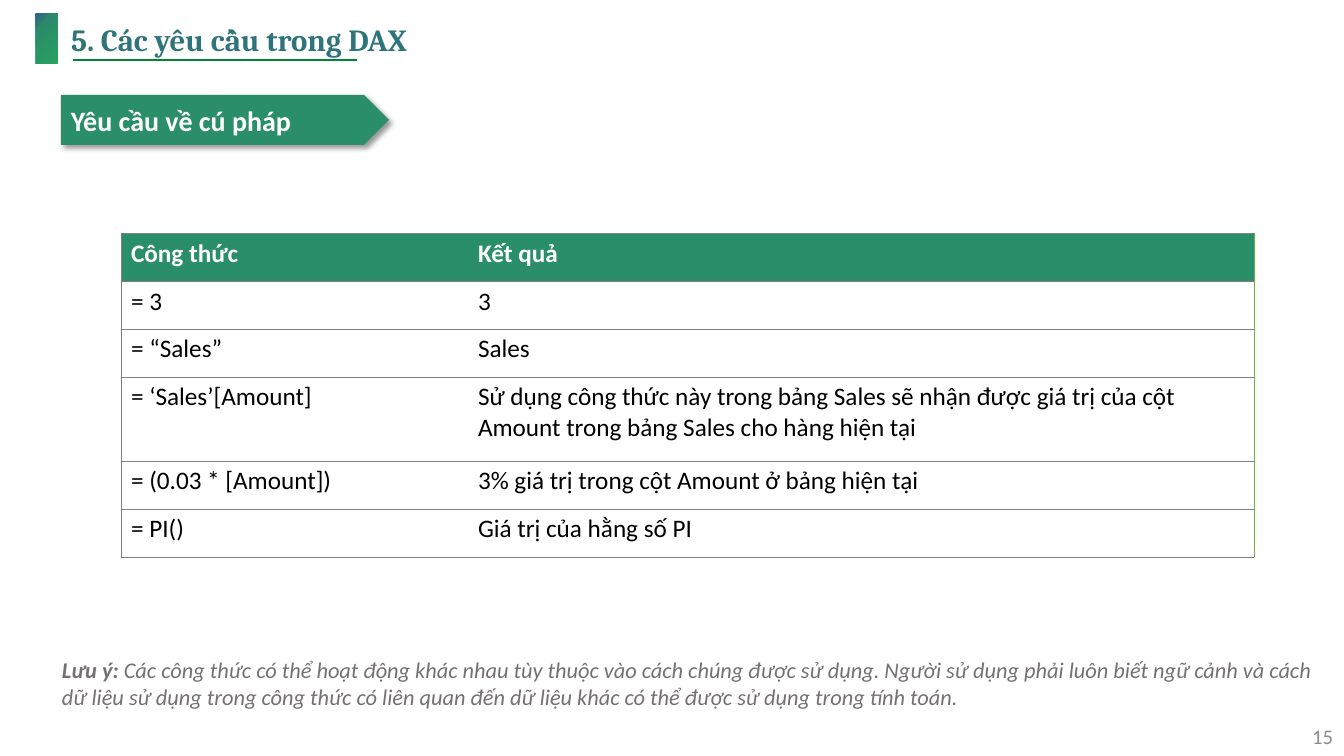
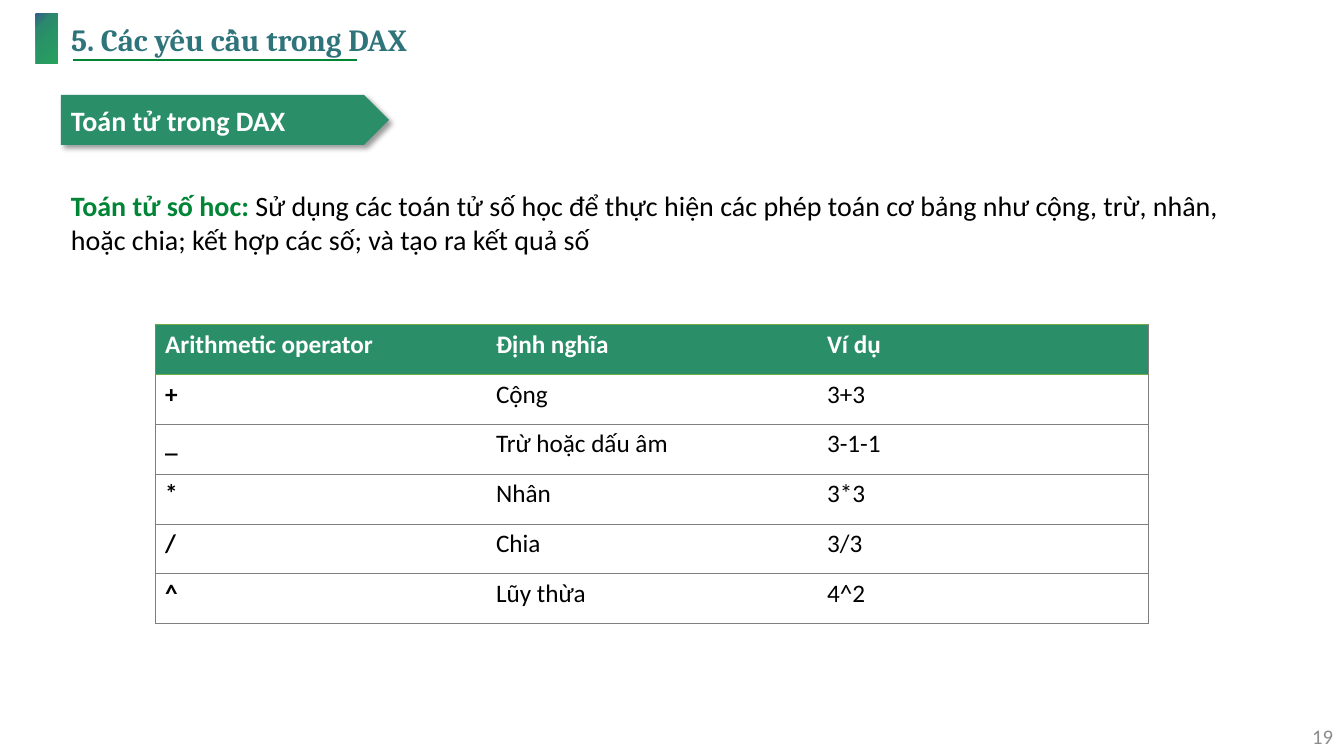
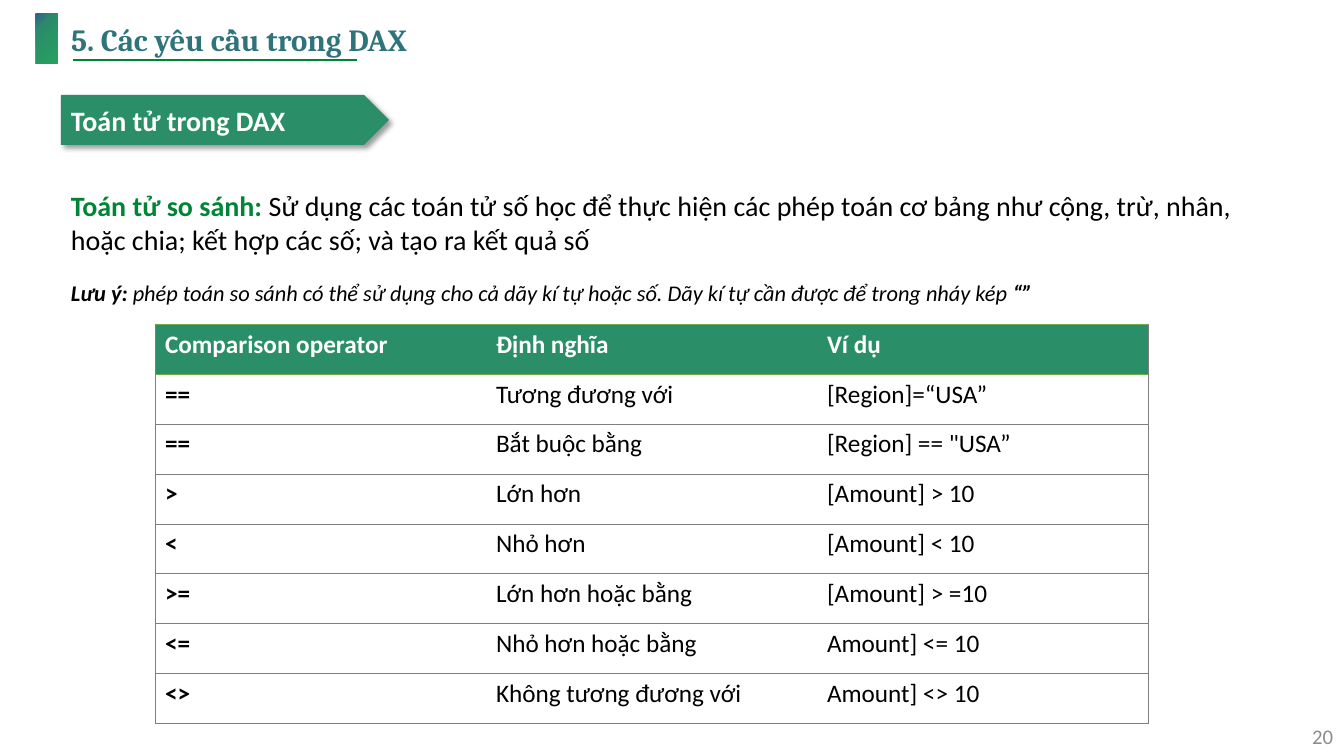
from lxml.etree import SubElement
from pptx import Presentation
from pptx.dml.color import RGBColor
from pptx.enum.shapes import MSO_CONNECTOR, MSO_SHAPE
from pptx.enum.text import MSO_ANCHOR, MSO_AUTO_SIZE, PP_ALIGN
from pptx.oxml.ns import qn
from pptx.util import Emu, Pt

EMU_PER_PX = 914400 / 100.8
BODY_FONT = "Calibri"
TITLE_FONT = "Cambria"
TITLE = "5. Các yêu cầu trong DAX"
BANNER_GREEN = "2A8F68"
ACCENT_GREEN = "008435"
BORDER_GREEN = "70AD47"
BORDER_GRAY = "7F7F7F"
NUMBER_GRAY = "8C8C8C"
NOTE_GRAY = "767171"
BLACK = "000000"
WHITE = "FFFFFF"
NO_STYLE_TABLE = "{2D5ABB26-0587-4C30-8999-92F81FD0307C}"
TITLE_STOPS = [(0, "325E89"), (12, "2F747B"), (50, "299466"), (82, "279E5F"), (100, "23B350")]
BAR_STOPS = [(0, "325E89"), (11, "2F747B"), (23, "2B896D"), (53, "299466"), (92, "279E5F"), (99, "23B350")]

OPERATOR_INTRO = (
    "Sử dụng các toán tử số học để thực hiện các phép toán cơ bảng như cộng, trừ, nhân, "
    "hoặc chia; kết hợp các số; và tạo ra kết quả số"
)
INTRO_BOX = (61, 184, 1217, 78)
OPERATOR_GRID = {
    "origin": (155, 324),
    "columns": [331, 331, 331],
    "bold_first": True,
    "right_edge": BORDER_GRAY,
    "header_edge": BORDER_GREEN,
}

SLIDES = [
    {
        "number": "15",
        "banner": "Yêu cầu về cú pháp",
        "texts": [
            {
                "box": (52, 651, 1271, 65),
                "size": 16,
                "italic": True,
                "runs": [
                    ("Lưu ý: ", NOTE_GRAY, True),
                    (
                        "Các công thức có thể hoạt động khác nhau tùy thuộc vào cách chúng được sử dụng. "
                        "Người sử dụng phải luôn biết ngữ cảnh và cách dữ liệu sử dụng trong công thức "
                        "có liên quan đến dữ liệu khác có thể được sử dụng trong tính toán.",
                        NOTE_GRAY,
                        False,
                    ),
                ],
            },
        ],
        "grid": {
            "origin": (121, 233),
            "columns": [347, 786],
            "bold_first": False,
            "right_edge": BORDER_GREEN,
            "header_edge": BORDER_GRAY,
        },
        "heights": [48, 48, 48, 84, 48, 48],
        "rows": [
            ("Công thức", "Kết quả"),
            ("= 3", "3"),
            ("= “Sales”", "Sales"),
            (
                "= ‘Sales’[Amount]",
                "Sử dụng công thức này trong bảng Sales sẽ nhận được giá trị của cột "
                "Amount trong bảng Sales cho hàng hiện tại",
            ),
            ("= (0.03 * [Amount])", "3% giá trị trong cột Amount ở bảng hiện tại"),
            ("= PI()", "Giá trị của hằng số PI"),
        ],
    },
    {
        "number": "19",
        "banner": "Toán tử trong DAX",
        "texts": [
            {
                "box": INTRO_BOX,
                "size": 20,
                "italic": False,
                "runs": [("Toán tử số hoc: ", ACCENT_GREEN, True), (OPERATOR_INTRO, BLACK, False)],
            },
        ],
        "grid": OPERATOR_GRID,
        "heights": [50] * 6,
        "rows": [
            ("Arithmetic operator", "Định nghĩa", "Ví dụ"),
            ("+", "Cộng", "3+3"),
            ("_", "Trừ hoặc dấu âm", "3-1-1"),
            ("*", "Nhân", "3*3"),
            ("/", "Chia", "3/3"),
            ("^", "Lũy thừa", "4^2"),
        ],
    },
    {
        "number": "20",
        "banner": "Toán tử trong DAX",
        "texts": [
            {
                "box": INTRO_BOX,
                "size": 20,
                "italic": False,
                "runs": [("Toán tử so sánh: ", ACCENT_GREEN, True), (OPERATOR_INTRO, BLACK, False)],
            },
            {
                "box": (61, 274, 1105, 37),
                "size": 16,
                "italic": True,
                "runs": [
                    ("Lưu ý: ", BLACK, True),
                    (
                        "phép toán so sánh có thể sử dụng cho cả dãy kí tự hoặc số. "
                        "Dãy kí tự cần được để trong nháy kép ",
                        BLACK,
                        False,
                    ),
                    ("“”", BLACK, True),
                ],
            },
        ],
        "grid": OPERATOR_GRID,
        "heights": [50] * 8,
        "rows": [
            ("Comparison operator", "Định nghĩa", "Ví dụ"),
            ("==", "Tương đương với", "[Region]=“USA”"),
            ("==", "Bắt buộc bằng", "[Region] == \"USA”"),
            (">", "Lớn hơn", "[Amount] > 10"),
            ("<", "Nhỏ hơn", "[Amount] < 10"),
            (">=", "Lớn hơn hoặc bằng", "[Amount] > =10"),
            ("<=", "Nhỏ hơn hoặc bằng", "Amount] <= 10"),
            ("<>", "Không tương đương với", "Amount] <> 10"),
        ],
    },
]


def px(*lengths):
    return [Emu(round(length * EMU_PER_PX)) for length in lengths]


def color(value):
    return RGBColor.from_string(value)


def format_run(run, size, fill=None, bold=False, italic=False, name=BODY_FONT):
    run.font.name = name
    run.font.size = Pt(size)
    run.font.bold = bold
    run.font.italic = italic
    if fill:
        run.font.fill.solid()
        run.font.fill.fore_color.rgb = color(fill)


def add_color(parent, value, alpha=None):
    element = SubElement(parent, qn("a:srgbClr"), val=value)
    if alpha is not None:
        SubElement(element, qn("a:alpha"), val=str(alpha * 1000))


def set_gradient(fill, properties, stops, circular=False):
    fill.gradient()
    gradient = properties.find(qn("a:gradFill"))
    for child in list(gradient):
        gradient.remove(child)
    stop_list = SubElement(gradient, qn("a:gsLst"))
    for position, value in stops:
        add_color(SubElement(stop_list, qn("a:gs"), pos=str(position * 1000)), value)
    if circular:
        route = SubElement(gradient, qn("a:path"), path="circle")
        SubElement(route, qn("a:fillToRect"), r="100000", b="100000")
    else:
        SubElement(gradient, qn("a:lin"), ang="0", scaled="1")


def add_text(slide, box, runs, size, italic=False):
    shape = slide.shapes.add_textbox(*px(*box))
    shape.text_frame.word_wrap = True
    paragraph = shape.text_frame.paragraphs[0]
    for text, fill, bold in runs:
        run = paragraph.add_run()
        run.text = text
        format_run(run, size, fill, bold, italic)
    return shape


def add_frame(slide, number):
    line = slide.shapes.add_connector(MSO_CONNECTOR.STRAIGHT, *px(73, 60, 357, 60))
    line.line.color.rgb = color(ACCENT_GREEN)
    line.line.width = Pt(1)
    SubElement(line._element.spPr, qn("a:effectLst"))

    bar = slide.shapes.add_shape(MSO_SHAPE.RECTANGLE, *px(36, 14, 22, 50))
    bar.shadow.inherit = False
    bar.line.fill.background()
    set_gradient(bar.fill, bar._element.spPr, BAR_STOPS, circular=True)

    number_box = add_text(slide, (1041, 716, 302, 40), [(number, NUMBER_GRAY, False)], 14.8)
    number_box.text_frame.vertical_anchor = MSO_ANCHOR.MIDDLE
    number_box.text_frame.paragraphs[0].alignment = PP_ALIGN.RIGHT

    title = slide.shapes.title
    title.left, title.top, title.width, title.height = px(61, 7, 1128, 70)
    title.text_frame.text = TITLE
    title.text_frame.auto_size = MSO_AUTO_SIZE.NONE
    title.text_frame.vertical_anchor = MSO_ANCHOR.MIDDLE
    paragraph = title.text_frame.paragraphs[0]
    paragraph.alignment = PP_ALIGN.LEFT
    paragraph.line_spacing = 0.9
    run = paragraph.runs[0]
    format_run(run, 22, bold=True, name=TITLE_FONT)
    set_gradient(run.font.fill, run._r.rPr, TITLE_STOPS)


def add_banner(slide, text):
    banner = slide.shapes.add_shape(MSO_SHAPE.PENTAGON, *px(61, 95, 328, 50))
    banner.fill.solid()
    banner.fill.fore_color.rgb = color(BANNER_GREEN)
    banner.line.fill.background()
    banner.shadow.inherit = False
    effects = banner._element.spPr.find(qn("a:effectLst"))
    shadow = SubElement(
        effects, qn("a:outerShdw"), blurRad=str(Pt(4)), dist=str(Pt(3)),
        dir=str(45 * 60000), algn="tl", rotWithShape="0",
    )
    add_color(shadow, BLACK, 40)
    banner.text_frame.text = text
    banner.text_frame.vertical_anchor = MSO_ANCHOR.MIDDLE
    paragraph = banner.text_frame.paragraphs[0]
    paragraph.alignment = PP_ALIGN.LEFT
    format_run(paragraph.runs[0], 20, WHITE, bold=True)


def set_borders(cell, edges):
    properties = cell._tc.get_or_add_tcPr()
    for side in ("L", "R", "T", "B"):
        line = SubElement(properties, qn(f"a:ln{side}"), w=str(Pt(0.5)))
        if edges.get(side):
            add_color(SubElement(line, qn("a:solidFill")), edges[side])
        else:
            SubElement(line, qn("a:noFill"))


def add_grid(slide, grid, heights, rows):
    columns = grid["columns"]
    frame = slide.shapes.add_table(
        len(rows), len(columns), *px(*grid["origin"], sum(columns), sum(heights))
    )
    table = frame.table
    table.horz_banding = False
    table._tbl.tblPr.find(qn("a:tableStyleId")).text = NO_STYLE_TABLE
    for column, width in zip(table.columns, px(*columns)):
        column.width = width
    for row, height in zip(table.rows, px(*heights)):
        row.height = height
    for row_index, texts in enumerate(rows):
        header = row_index == 0
        for column_index, text in enumerate(texts):
            cell = table.cell(row_index, column_index)
            first = column_index == 0
            last = column_index == len(columns) - 1
            set_borders(cell, {
                "L": BORDER_GRAY if first else None,
                "R": grid["right_edge"] if last else None,
                "T": grid["header_edge"] if row_index < 2 else BORDER_GRAY,
                "B": grid["header_edge"] if header else BORDER_GRAY,
            })
            if header:
                cell.fill.solid()
                cell.fill.fore_color.rgb = color(BANNER_GREEN)
            else:
                cell.fill.background()
            cell.text_frame.text = text
            bold = header or (first and grid["bold_first"])
            format_run(cell.text_frame.paragraphs[0].runs[0], 18, WHITE if header else BLACK, bold)


def main():
    presentation = Presentation()
    presentation.slide_width, presentation.slide_height = px(1344, 756)
    for content in SLIDES:
        slide = presentation.slides.add_slide(presentation.slide_layouts[5])
        add_frame(slide, content["number"])
        add_banner(slide, content["banner"])
        for text in content["texts"]:
            add_text(slide, text["box"], text["runs"], text["size"], text["italic"])
        add_grid(slide, content["grid"], content["heights"], content["rows"])
    presentation.save("out.pptx")


if __name__ == "__main__":
    main()
